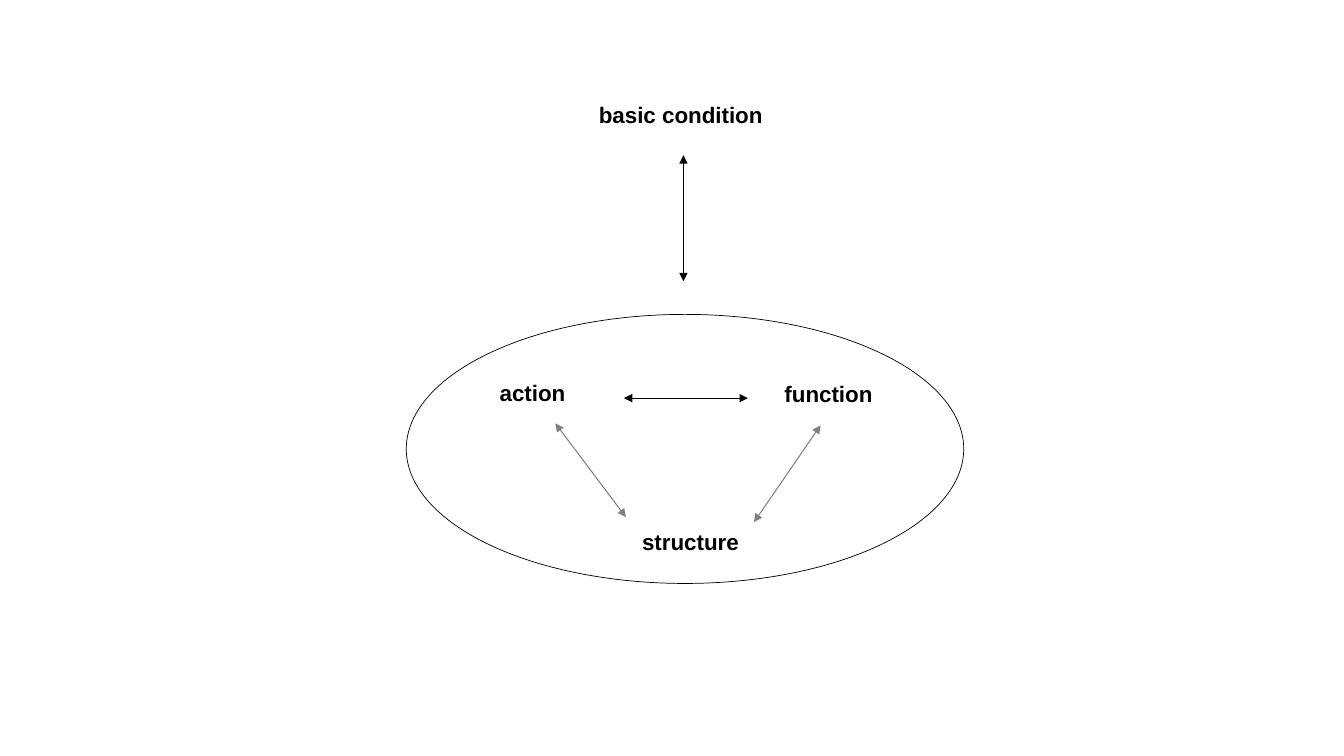
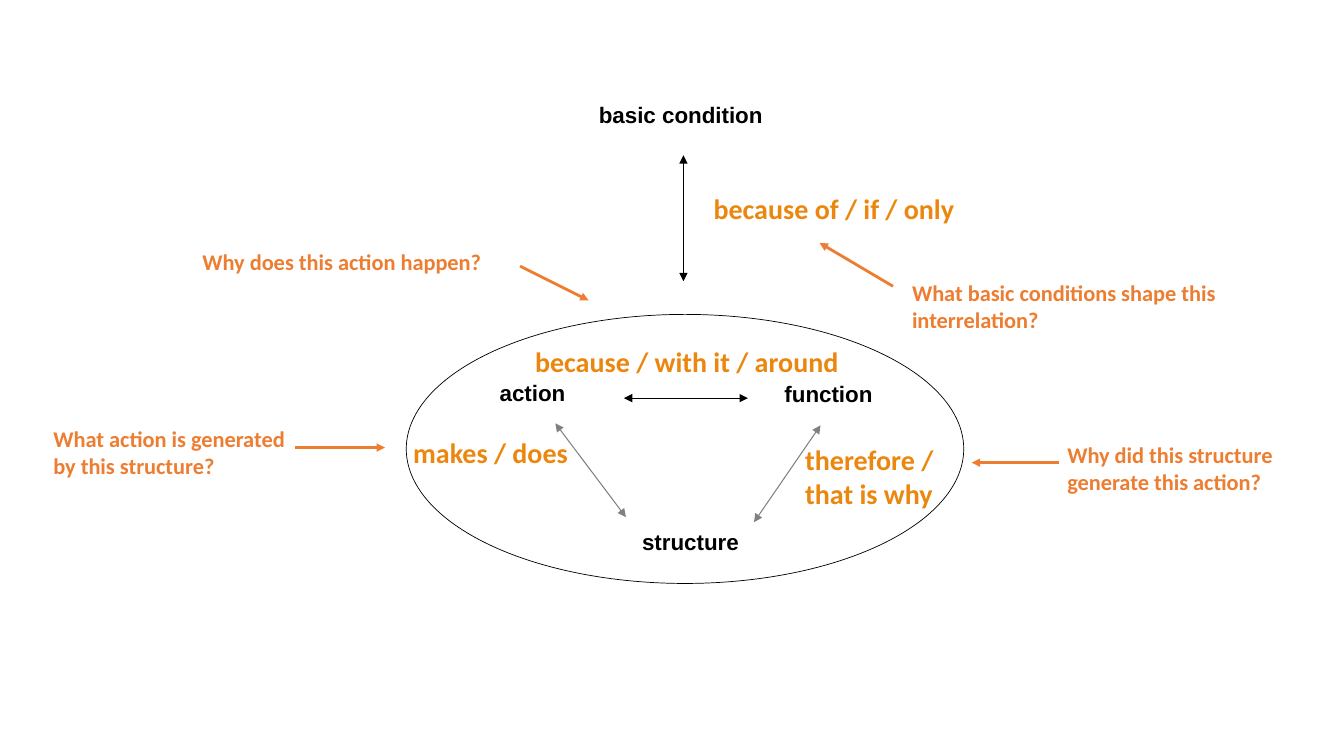
import pptx
import pptx.util
import pptx.dml.color
import pptx.enum.shapes
import pptx.oxml
import pptx.oxml.ns

Pt = pptx.util.Pt

BLACK, GREY, AMBER, ORANGE = "000000", "808080", "EB870E", "ED7D31"

CONCEPT = {"font": "Arial", "size": 16, "color": BLACK, "align": "ctr"}
LINKING_WORDS = {"font": "Calibri", "size": 20, "color": AMBER, "align": "l"}
QUESTION = {"font": "Calibri", "size": 16, "color": ORANGE, "align": "l"}

SYSTEM_ELLIPSE = (290.2, 224.6, 398.2, 192.2)

CONCEPTS = [
    ("basic condition", 390.2, 68.4, 192.2, 26.6),
    ("action", 330, 267.1, 100.8, 26.6),
    ("function", 540.7, 267.8, 102.2, 26.6),
    ("structure", 420.5, 373.7, 145.4, 26.6),
]
RELATIONS = [
    ((445.7, 284.4), (534.2, 284.4), BLACK),
    ((447.1, 369.4), (396.7, 302.4), GREY),
    ((538.6, 373), (586.1, 303.8), GREY),
    ((488.2, 110.9), (488.2, 200.9), BLACK),
]
CONNECTIVES = [
    ("makes / does", 288, 307.4, 128.9, 31.7),
    ("because / with it / around", 375.1, 242.6, 247, 31.7),
    ("therefore / that is why", 568.1, 312.5, 113.8, 55.4),
    ("because of / if / only", 502.6, 133.2, 192.2, 31.7),
]
QUESTIONS = [
    ("What basic conditions shape this interrelation?", 644.4, 195.8, 275.8, 46.1),
    ("Why did this structure generate this action?", 755.3, 311.8, 201.6, 46.1),
    ("What action is generated by this structure?", 31, 300.2, 187.9, 46.1),
    ("Why does this action happen?", 137.5, 173.5, 237.6, 26.6),
]
POINTERS = [
    ((637.9, 204.5), (585.4, 173.5)),
    ((756.7, 330.5), (694.1, 330.5)),
    ((211, 319.7), (275, 319.7)),
    ((371.5, 190.1), (420.5, 214.6)),
]


def rgb(value):
    return pptx.dml.color.RGBColor.from_string(value)


def add_label(slide, text, left, top, width, height, style):
    label = slide.shapes.add_textbox(Pt(left), Pt(top), Pt(width), Pt(height))
    label.text_frame.word_wrap = True
    paragraph = label.text_frame.paragraphs[0]
    paragraph.alignment = pptx.enum.text.PP_ALIGN.from_xml(style["align"])
    run = paragraph.add_run()
    run.text = text
    run.font.name = style["font"]
    run.font.size = Pt(style["size"])
    run.font.bold = True
    run.font.color.rgb = rgb(style["color"])


def add_arrow(slide, start, end, color, weight, ends):
    arrow = slide.shapes.add_connector(
        pptx.enum.shapes.MSO_CONNECTOR.STRAIGHT, *(Pt(v) for v in start + end))
    arrow.line.color.rgb = rgb(color)
    arrow.line.width = Pt(weight)
    outline = arrow.line._get_or_add_ln()
    for tag in ends:
        head = pptx.oxml.xmlchemy.OxmlElement(tag)
        head.set("type", "triangle")
        outline.append(head)
    arrow._element.spPr.append(pptx.oxml.xmlchemy.OxmlElement("a:effectLst"))


def add_system(slide):
    ellipse = slide.shapes.add_shape(
        pptx.enum.shapes.MSO_SHAPE.OVAL, *(Pt(v) for v in SYSTEM_ELLIPSE))
    ellipse.shadow.inherit = False
    ellipse.fill.background()
    ellipse.line.color.rgb = rgb(BLACK)
    ellipse.line.width = Pt(0.5)
    for concept in CONCEPTS:
        add_label(slide, *concept, CONCEPT)
    for start, end, color in RELATIONS:
        add_arrow(slide, start, end, color, 0.75, ("a:headEnd", "a:tailEnd"))


def add_reading_guide(slide):
    for connective in CONNECTIVES:
        add_label(slide, *connective, LINKING_WORDS)
    for question in QUESTIONS:
        add_label(slide, *question, QUESTION)
    for start, end in POINTERS:
        add_arrow(slide, start, end, ORANGE, 2, ("a:tailEnd",))


def main():
    deck = pptx.Presentation()
    deck.slide_width, deck.slide_height = Pt(960), Pt(540)
    blank = deck.slide_layouts[6]
    for layers in ([add_system], [add_system, add_reading_guide]):
        slide = deck.slides.add_slide(blank)
        for add_layer in layers:
            add_layer(slide)
    deck.save("out.pptx")


if __name__ == "__main__":
    main()
